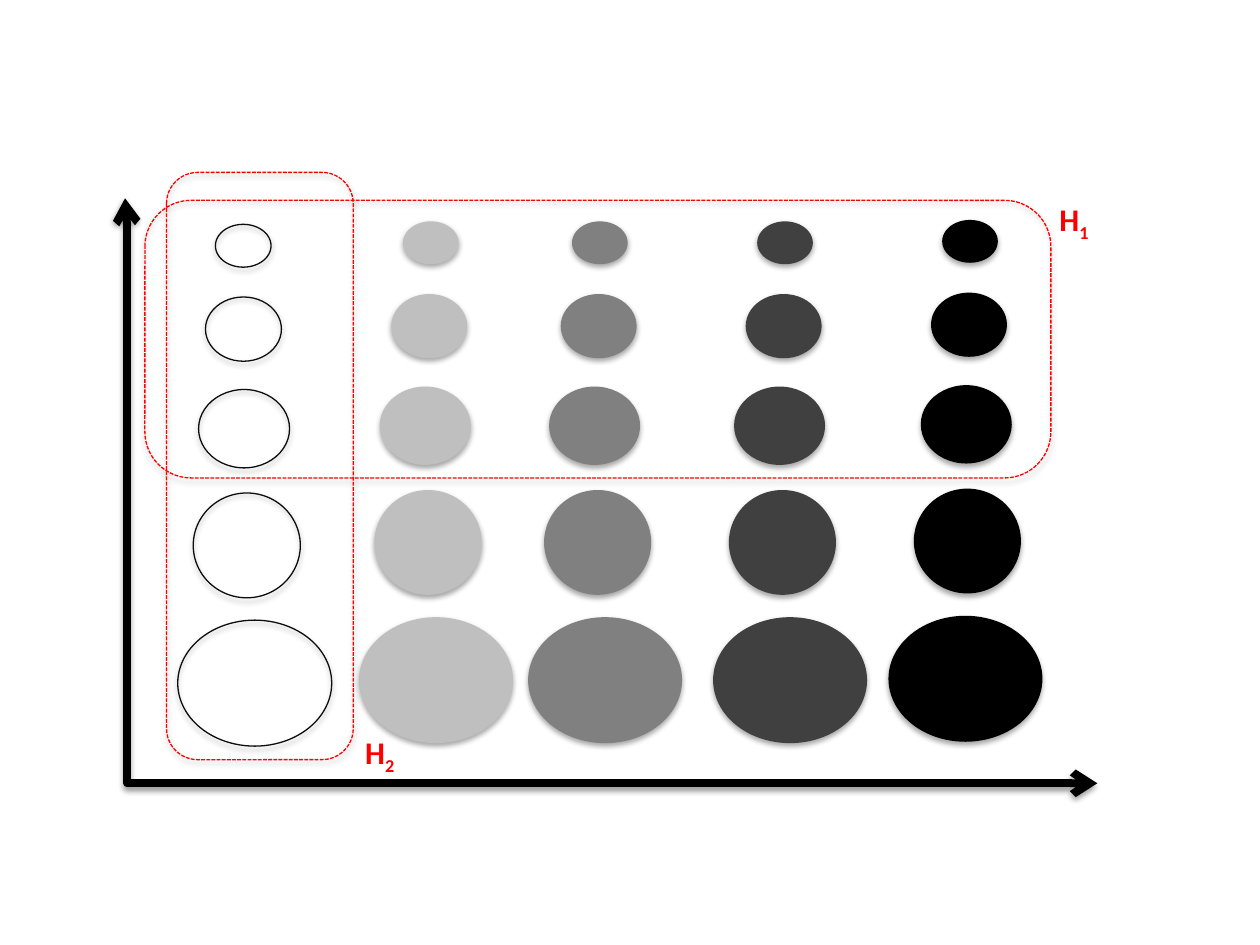
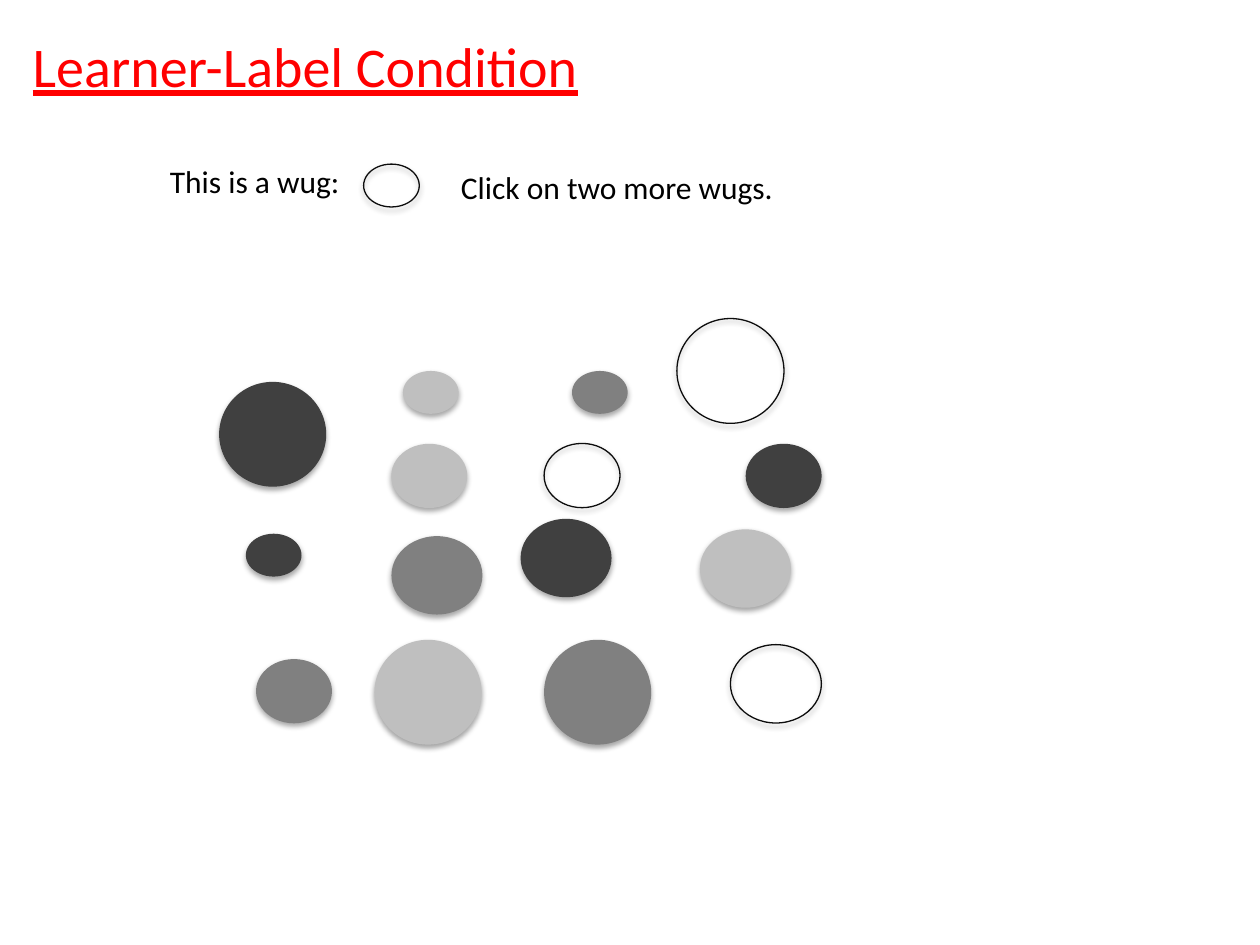
from typing import NamedTuple

from lxml.etree import SubElement
from pptx import Presentation
from pptx.dml.color import RGBColor
from pptx.enum.dml import MSO_LINE_DASH_STYLE as Dash
from pptx.enum.shapes import MSO_CONNECTOR as Connector, MSO_SHAPE as Preset
from pptx.enum.text import MSO_AUTO_SIZE as AutoSize
from pptx.oxml.ns import qn
from pptx.util import Pt

COLORS = {
    "outline": "0D0D0D",
    "light": "BFBFBF",
    "grey": "808080",
    "dark": "404040",
    "black": "000000",
    "red": "FF0000",
}
FONT = "Calibri"


class Size(NamedTuple):
    width: float
    height: float


class Wug(NamedTuple):
    size: str
    shade: str
    left: float
    top: float


class Column(NamedTuple):
    shade: str
    lefts: tuple
    shift: float


class Hypothesis(NamedTuple):
    index: str
    frame: tuple
    label_at: tuple


class Label(NamedTuple):
    text: str
    frame: tuple
    size: float = 18
    color: str = "black"
    bold: bool = False
    underline: bool = False
    subscript: str = ""


SIZES = {
    "tiny": Size(31.8, 24.5),
    "small": Size(43.4, 36.7),
    "medium": Size(52, 44.8),
    "large": Size(61.2, 59.9),
    "huge": Size(88, 72),
}
ROW_TOPS = (126.5, 168, 220.9, 280, 352.7)
COLUMNS = [
    Column("grey", (326.9, 320.4, 313.8, 310.9, 301.8), 0),
    Column("light", (230.3, 223.6, 217, 214, 205.2), 0),
    Column("white", (123.1, 117.4, 113.5, 110.4, 101.6), 1.7),
    Column("dark", (432.7, 426.1, 419.5, 416.5, 407.5), 0),
    Column("black", (538.4, 532, 526.2, 522.2, 507.7), -0.8),
]
HYPOTHESES = [
    Hypothesis("1", (82.8, 114.5, 517.7, 158.6), (598.3, 110.9)),
    Hypothesis("2", (95.2, 98.5, 106.7, 335.6), (201.6, 415.4)),
]
EXAMPLE = Wug("tiny", "white", 207.8, 93.8)
CHOICES = [
    Wug("small", "grey", 146.3, 376.6),
    Wug("medium", "grey", 223.7, 306.4),
    Wug("large", "grey", 310.9, 365.6),
    Wug("tiny", "grey", 326.9, 212),
    Wug("small", "light", 223.6, 253.6),
    Wug("medium", "light", 400, 302.5),
    Wug("large", "light", 214, 365.6),
    Wug("tiny", "light", 230.3, 212),
    Wug("small", "white", 310.9, 253.4),
    Wug("medium", "white", 417.4, 368.4),
    Wug("large", "white", 386.8, 182),
    Wug("small", "dark", 426.1, 253.6),
    Wug("medium", "dark", 297.5, 296.5),
    Wug("large", "dark", 125.2, 218.2),
    Wug("tiny", "dark", 140.5, 305),
]
LABELS = [
    Label("Learner-Label Condition", (11.6, 14.4, 329.8, 46), 32, "red", underline=True),
    Label("This is a wug:", (90, 89.3, 112.3, 29.1)),
    Label("Click on two more wugs.", (256.3, 92.4, 195.1, 29.1)),
]


def color(name: str) -> RGBColor:
    return RGBColor.from_string(COLORS[name])


def add_shadow(shape, alpha: int = 35, distance: float = 1.8) -> None:
    effects = SubElement(shape._element.spPr, qn("a:effectLst"))
    shadow = SubElement(effects, qn("a:outerShdw"), blurRad=str(Pt(3.15)), dist=str(Pt(distance)),
                        dir="5400000", rotWithShape="0")
    tint = SubElement(shadow, qn("a:srgbClr"), val=COLORS["black"])
    SubElement(tint, qn("a:alpha"), val=str(alpha * 1000))


def add_outline(page, preset, frame: tuple, line_color: str):
    shape = page.shapes.add_shape(preset, *map(Pt, frame))
    shape.fill.background()
    shape.line.color.rgb = color(line_color)
    shape.line.width = Pt(0.75)
    return shape


def add_wug(page, wug: Wug) -> None:
    shape = add_outline(page, Preset.OVAL, (wug.left, wug.top, *SIZES[wug.size]), "outline")
    if wug.shade != "white":
        shape.fill.solid()
        shape.fill.fore_color.rgb = color(wug.shade)
        shape.line.fill.background()
    add_shadow(shape)


def add_label(page, label: Label) -> None:
    box = page.shapes.add_textbox(*map(Pt, label.frame))
    box.text_frame.word_wrap = False
    box.text_frame.auto_size = AutoSize.SHAPE_TO_FIT_TEXT
    para = box.text_frame.paragraphs[0]
    para.text = label.text
    if label.subscript:
        span = para.add_run()
        span.text = label.subscript
        span.font._element.set("baseline", "-25000")
    for span in para.runs:
        span.font.name = FONT
        span.font.size = Pt(label.size)
        span.font.color.rgb = color(label.color)
        span.font.bold = label.bold
        span.font.underline = label.underline


def add_axes(page) -> None:
    axes = page.shapes.add_connector(Connector.ELBOW, Pt(71.5), Pt(113.3), Pt(627.1), Pt(447.6))
    axes.line.color.rgb = color("black")
    axes.line.width = Pt(4.5)
    guides = axes._element.spPr.find(qn("a:prstGeom")).find(qn("a:avLst"))
    SubElement(guides, qn("a:gd"), name="adj1", fmla="val 200")
    line = axes._element.spPr.find(qn("a:ln"))
    for end in ("a:headEnd", "a:tailEnd"):
        SubElement(line, qn(end), type="arrow")
    add_shadow(axes, 38, 1.6)


def build_hypotheses(page) -> None:
    add_axes(page)
    for column in COLUMNS:
        for size, left, top in zip(SIZES, column.lefts, ROW_TOPS):
            add_wug(page, Wug(size, column.shade, left, top + column.shift))
    for hypothesis in HYPOTHESES:
        region = add_outline(page, Preset.ROUNDED_RECTANGLE, hypothesis.frame, "red")
        region.line.dash_style = Dash.SQUARE_DOT
        add_shadow(region)
    for hypothesis in HYPOTHESES:
        add_label(page, Label("H", (*hypothesis.label_at, 31.7, 29.1), color="red", bold=True,
                              subscript=hypothesis.index))


def build_condition(page) -> None:
    for wug in (*CHOICES, EXAMPLE):
        add_wug(page, wug)
    for label in LABELS:
        add_label(page, label)


def main() -> None:
    deck = Presentation()
    deck.slide_width, deck.slide_height = Pt(720), Pt(540)
    for build in (build_hypotheses, build_condition):
        build(deck.slides.add_slide(deck.slide_layouts[6]))
    deck.save("out.pptx")


if __name__ == "__main__":
    main()
